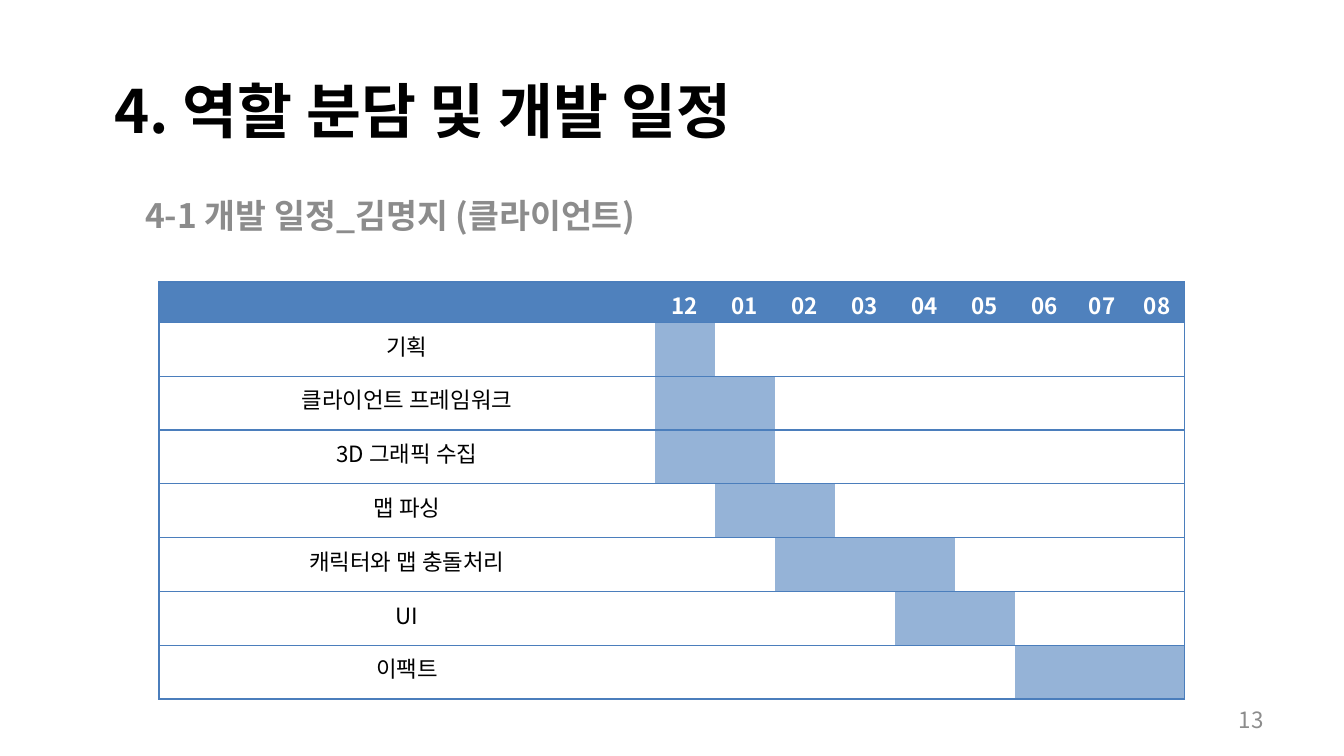
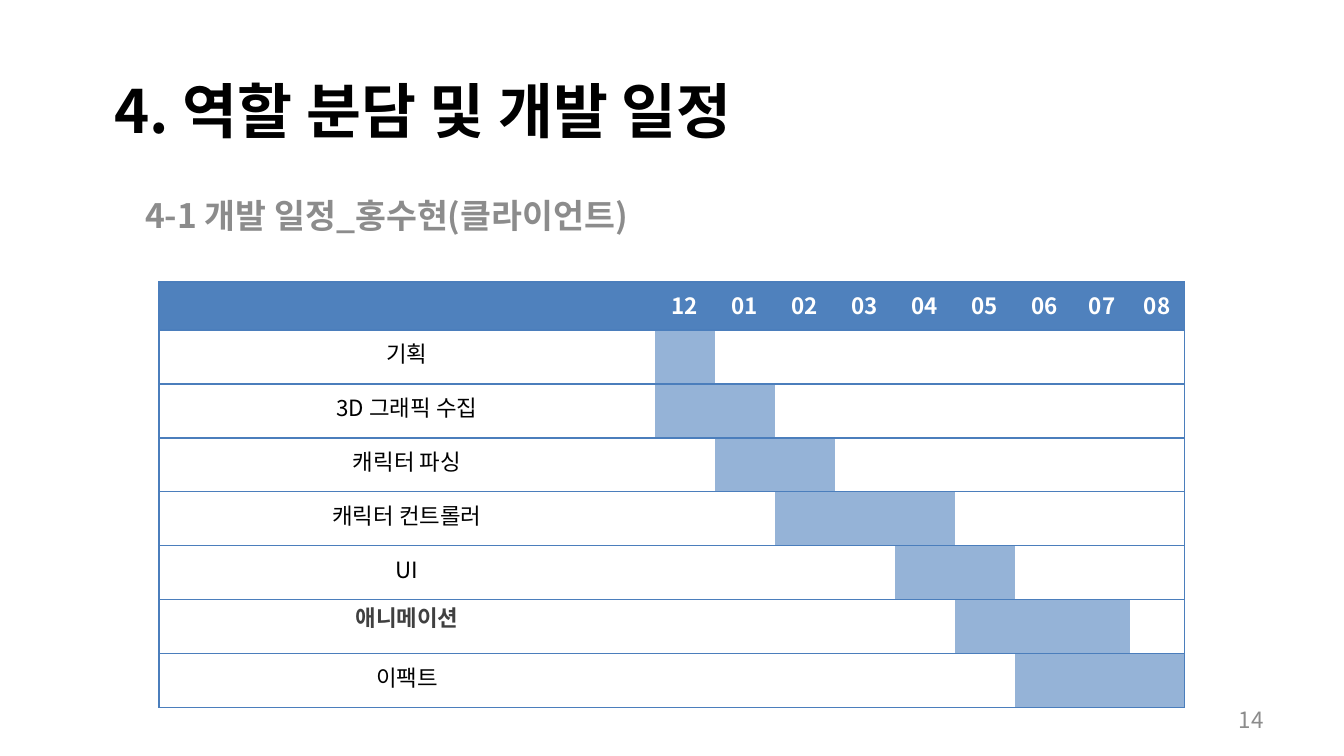
from lxml.etree import SubElement
from pptx import Presentation
from pptx.dml.color import RGBColor
from pptx.enum.text import MSO_ANCHOR as Anchor, PP_ALIGN as Align
from pptx.oxml.ns import qn
from pptx.util import Emu, Pt

# Content
TITLE = "4. 역할 분담 및 개발 일정"
MONTHS = ["12", "01", "02", "03", "04", "05", "06", "07", "08"]

KOREAN, LATIN = "Noto Sans CJK KR", "Arial"
BLACK, GREY, WHITE = "000000", "8C8C8C", "FFFFFF"
HEADER_BLUE, BAR_BLUE, RULE_BLUE = "4F81BD", "95B3D7", "4B7EBC"

TITLE_STYLE = dict(size=32, bold=True, color=BLACK)
SUBTITLE_STYLE = dict(size=18, bold=True, color=GREY)
NUMBER_STYLE = dict(size=12, bold=False, color=GREY)
MONTH_STYLE = dict(size=12, bold=True, color=WHITE)
TASK_STYLE = dict(size=12, bold=False, color=BLACK)
ACCENT_STYLE = dict(size=12, bold=True, color="404040", face=LATIN)

# Each task: name, first month, last month, text style
SCHEDULES = [
    dict(
        number="13",
        subtitle="4-1 개발 일정_김명지 (클라이언트)",
        tasks=[
            ("기획", "12", "12", TASK_STYLE),
            ("클라이언트 프레임워크", "12", "01", TASK_STYLE),
            ("3D 그래픽 수집", "12", "01", TASK_STYLE),
            ("맵 파싱", "01", "02", TASK_STYLE),
            ("캐릭터와 맵 충돌처리", "02", "04", TASK_STYLE),
            ("UI", "04", "05", TASK_STYLE),
            ("이팩트", "06", "08", TASK_STYLE),
        ],
        row_heights=[32] + [35] * 7,
        table_height=353,
    ),
    dict(
        number="14",
        subtitle="4-1 개발 일정_홍수현(클라이언트)",
        tasks=[
            ("기획", "12", "12", TASK_STYLE),
            ("3D 그래픽 수집", "12", "01", TASK_STYLE),
            ("캐릭터 파싱", "01", "02", TASK_STYLE),
            ("캐릭터 컨트롤러", "02", "04", TASK_STYLE),
            ("UI", "04", "05", TASK_STYLE),
            ("애니메이션", "05", "07", ACCENT_STYLE),
            ("이팩트", "06", "08", TASK_STYLE),
        ],
        row_heights=[48] + [54] * 4 + [27] * 2 + [54],
        table_height=406,
    ),
]

# Layout, in pixels
PAGE = (1344, 756)
TITLE_BOX = (101, 28, 1142, 163)
SUBTITLE_BOX = (132, 188, 550, 52)
NUMBER_BOX = (964, 700, 313, 40)
TABLE_LEFT, TABLE_TOP = 159, 282
COLUMN_WIDTHS = [496] + [60] * 7 + [55] * 2
PLAIN_TABLE = "{2D5ABB26-0587-4C30-8999-92F81FD0307C}"


def px(length):
    """Turn pixels into EMU, at 134.4 pixels to the inch."""
    return Emu(round(length * 914400 / 134.4))


def rgb(hex_color):
    """Turn a hex string into a colour."""
    return RGBColor.from_string(hex_color)


def write(frame, text, style, align=Align.LEFT):
    """Write one formatted paragraph and return it."""
    paragraph = frame.paragraphs[0]
    paragraph.alignment = align
    run = paragraph.add_run()
    run.text = text
    face = style.get("face", KOREAN)
    values = dict(size=Pt(style["size"]), bold=style["bold"], name=face)
    for key, value in values.items():
        setattr(run.font, key, value)
    run.font.color.rgb = rgb(style["color"])
    SubElement(run._r.get_or_add_rPr(), qn("a:ea"), typeface=face)
    return paragraph


def size_empty(cell, size, face):
    """Set the text size that an empty cell keeps for its line height."""
    mark = SubElement(cell.text_frame.paragraphs[0]._p,
                      qn("a:endParaRPr"), sz=str(size * 100))
    for script in ("a:latin", "a:ea"):
        SubElement(mark, qn(script), typeface=face)


def rule(cell, sides):
    """Draw thin rules on the given sides (letters of LRTB) of a cell."""
    properties = cell._tc.get_or_add_tcPr()
    for side in sides:
        line = SubElement(properties, qn(f"a:ln{side}"), w=str(Pt(0.75)))
        fill = SubElement(line, qn("a:solidFill"))
        SubElement(fill, qn("a:srgbClr"), val=RULE_BLUE)


def paint(cell, color):
    """Fill a cell, or leave it clear when there is no colour."""
    if color:
        cell.fill.solid()
        cell.fill.fore_color.rgb = rgb(color)
    else:
        cell.fill.background()


def add_label(slide, box, text, style, align=Align.LEFT, anchor=Anchor.TOP):
    """Add a wrapping text box."""
    frame = slide.shapes.add_textbox(*map(px, box)).text_frame
    frame.word_wrap = True
    frame.vertical_anchor = anchor
    write(frame, text, style, align)


def add_title(slide):
    """Place and fill the shared title."""
    title = slide.shapes.title
    for key, value in zip(("left", "top", "width", "height"), TITLE_BOX):
        setattr(title, key, px(value))
    title.text_frame.vertical_anchor = Anchor.MIDDLE
    write(title.text_frame, TITLE, TITLE_STYLE)


def add_schedule(slide, tasks, row_heights, table_height):
    """Add the table whose filled cells are the bars of the schedule."""
    holder = slide.shapes.add_table(
        len(tasks) + 1, len(COLUMN_WIDTHS), px(TABLE_LEFT), px(TABLE_TOP),
        px(sum(COLUMN_WIDTHS)), px(table_height))
    table = holder.table
    table.horz_banding = False
    table._tbl.tblPr.find(qn("a:tableStyleId")).text = PLAIN_TABLE
    for column, width in zip(table.columns, COLUMN_WIDTHS):
        column.width = px(width)
    for row, height in zip(table.rows, row_heights):
        row.height = px(height)
    holder.height = px(table_height)

    last = len(COLUMN_WIDTHS) - 1
    for r, row in enumerate(table.rows):
        for c, cell in enumerate(row.cells):
            rule(cell, "L" * (c == 0) + "R" * (c == last) + "TB")
            if r == 0:
                paint(cell, HEADER_BLUE)
                if c:
                    write(cell.text_frame, MONTHS[c - 1], MONTH_STYLE, Align.CENTER)
                else:
                    size_empty(cell, 12, KOREAN)
                continue
            name, start, end, style = tasks[r - 1]
            if c == 0:
                paint(cell, None)
                write(cell.text_frame, name, style, Align.CENTER)
            else:
                busy = MONTHS.index(start) < c <= MONTHS.index(end) + 1
                paint(cell, BAR_BLUE if busy else None)
                size_empty(cell, 18, LATIN)


def build():
    """Build and save the slides."""
    deck = Presentation()
    deck.slide_width, deck.slide_height = map(px, PAGE)
    title_only = deck.slide_layouts[5]
    for schedule in SCHEDULES:
        slide = deck.slides.add_slide(title_only)
        add_title(slide)
        add_label(slide, SUBTITLE_BOX, schedule["subtitle"], SUBTITLE_STYLE)
        add_schedule(slide, schedule["tasks"], schedule["row_heights"],
                     schedule["table_height"])
        add_label(slide, NUMBER_BOX, schedule["number"], NUMBER_STYLE,
                  Align.RIGHT, Anchor.MIDDLE)
    deck.save("out.pptx")


build()
